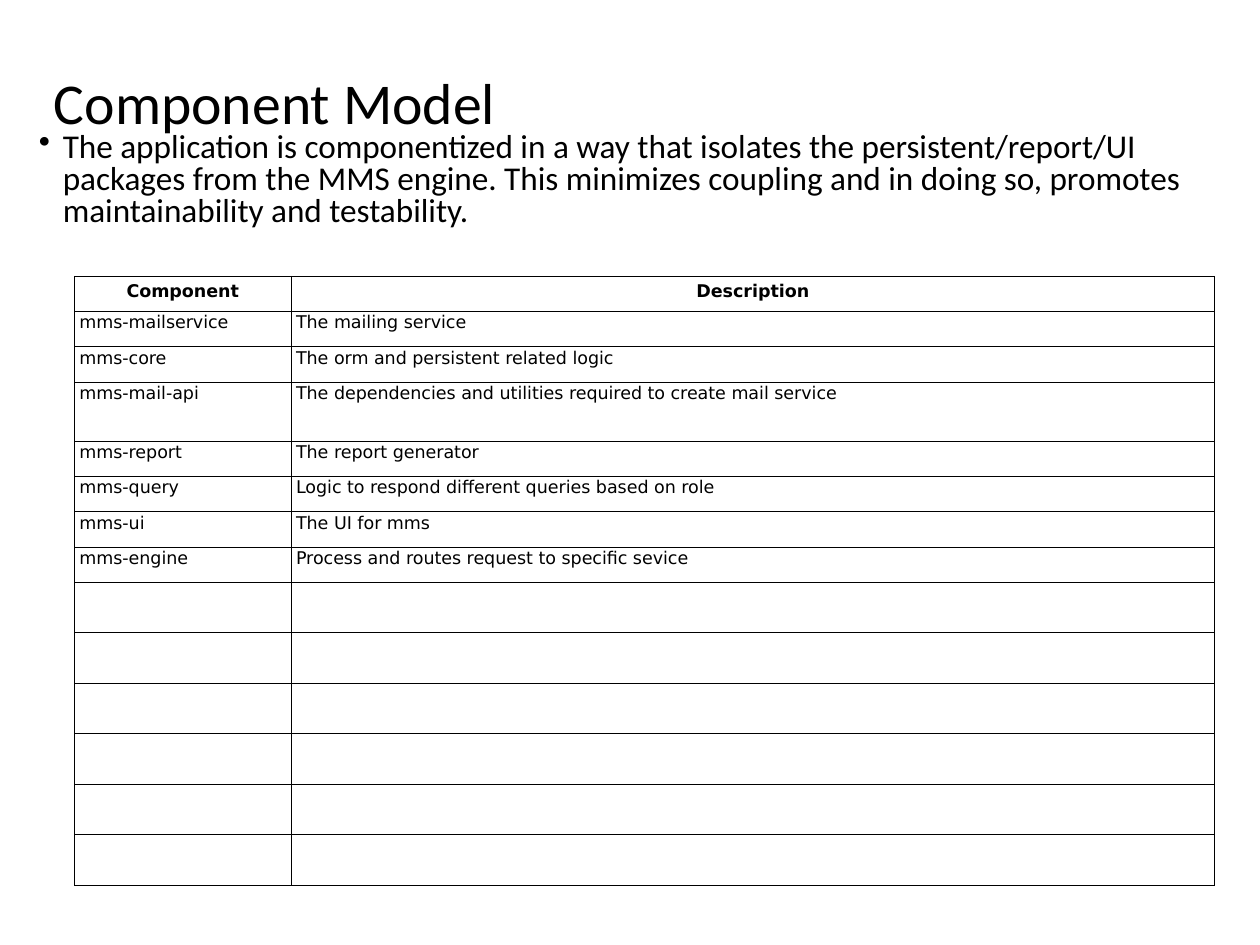
"""Build the Component Model slide with its table of components."""
from typing import NamedTuple

from lxml.etree import SubElement
from pptx import Presentation
from pptx.dml.color import RGBColor
from pptx.enum.text import MSO_ANCHOR, PP_ALIGN
from pptx.oxml.ns import qn
from pptx.util import Inches, Pt

BLACK = RGBColor(0, 0, 0)
BORDER_WIDTH = Pt(0.28)
EMPTY_ROWS = 6


class Component(NamedTuple):
    name: str
    description: str
    height: float = 0.28
    description_spacing: float = 0.69


COMPONENTS = [
    Component("Component", "Description"),
    Component("mms-mailservice", "The mailing service"),
    Component("mms-core", "The orm and persistent related logic", description_spacing=0.74),
    Component("mms-mail-api", "The dependencies and utilities required to create mail service", 0.47),
    Component("mms-report", "The report generator"),
    Component("mms-query", "Logic to respond different queries based on role"),
    Component("mms-ui", "The UI for mms"),
    Component("mms-engine", "Process and routes request to specific sevice"),
] + [Component("", "", 0.29)] * EMPTY_ROWS


def style_paragraph(paragraph, text: str, font_name: str, size: float, spacing: float) -> None:
    paragraph.text = text
    paragraph.line_spacing = spacing
    paragraph.font.name = font_name
    paragraph.font.size = Pt(size)
    paragraph.font.color.rgb = BLACK


def add_text(slide, top: float, left: float, height: float, text: str, size: float, spacing: float):
    shape = slide.shapes.add_textbox(Inches(left), Inches(top), Inches(9.48), Inches(height))
    shape.text_frame.word_wrap = True
    style_paragraph(shape.text_frame.paragraphs[0], text, "Calibri", size, spacing)
    return shape


def add_bullet(paragraph) -> None:
    properties = paragraph._p.get_or_add_pPr()
    properties.set("marL", str(Inches(0.19)))
    properties.set("indent", str(Inches(-0.19)))
    bullet = properties.makeelement(qn("a:buChar"), {"char": "•"})
    properties.insert_element_before(bullet, "a:tabLst", "a:defRPr", "a:extLst")


def add_borders(cell) -> None:
    properties = cell._tc.get_or_add_tcPr()
    for index, side in enumerate(("a:lnL", "a:lnR", "a:lnT", "a:lnB")):
        line = properties.makeelement(qn(side), {"w": str(BORDER_WIDTH)})
        fill = SubElement(line, qn("a:solidFill"))
        SubElement(fill, qn("a:srgbClr"), val=str(BLACK))
        properties.insert(index, line)


def fill_cell(cell, text: str, spacing: float, is_header: bool) -> None:
    cell.fill.background()
    add_borders(cell)
    if not text:
        return
    cell.margin_left = cell.margin_right = Inches(0.04)
    paragraph = cell.text_frame.paragraphs[0]
    style_paragraph(paragraph, text, "DejaVu Sans", 10, spacing)
    paragraph.font.bold = is_header
    if is_header:
        cell.vertical_anchor = MSO_ANCHOR.MIDDLE
        paragraph.alignment = PP_ALIGN.CENTER


def add_component_table(slide) -> None:
    total_height = sum(component.height for component in COMPONENTS)
    table = slide.shapes.add_table(
        len(COMPONENTS), 2, Inches(0.59), Inches(2.19), Inches(9.05), Inches(total_height)
    ).table
    table.first_row = table.horz_banding = False
    for column, width in zip(table.columns, (1.72, 7.33)):
        column.width = Inches(width)
    for index, component in enumerate(COMPONENTS):
        table.rows[index].height = Inches(component.height)
        fill_cell(table.cell(index, 0), component.name, 0.69, index == 0)
        fill_cell(table.cell(index, 1), component.description, component.description_spacing, index == 0)


def main() -> None:
    presentation = Presentation()
    presentation.slide_width, presentation.slide_height = Inches(10), Inches(7.5)
    slide = presentation.slides.add_slide(presentation.slide_layouts[6])
    title = add_text(slide, 0.5, 0.33, 0.68, "Component Model", 33, 0.9)
    title.text_frame.vertical_anchor = MSO_ANCHOR.MIDDLE
    summary = add_text(
        slide, 1.01, 0.21, 0.9,
        "The application is componentized in a way that isolates the persistent/report/UI "
        "packages from the MMS engine. This minimizes coupling and in doing so, promotes "
        "maintainability and testability.",
        19, 0.8,
    )
    add_bullet(summary.text_frame.paragraphs[0])
    add_component_table(slide)
    presentation.save("out.pptx")


if __name__ == "__main__":
    main()
